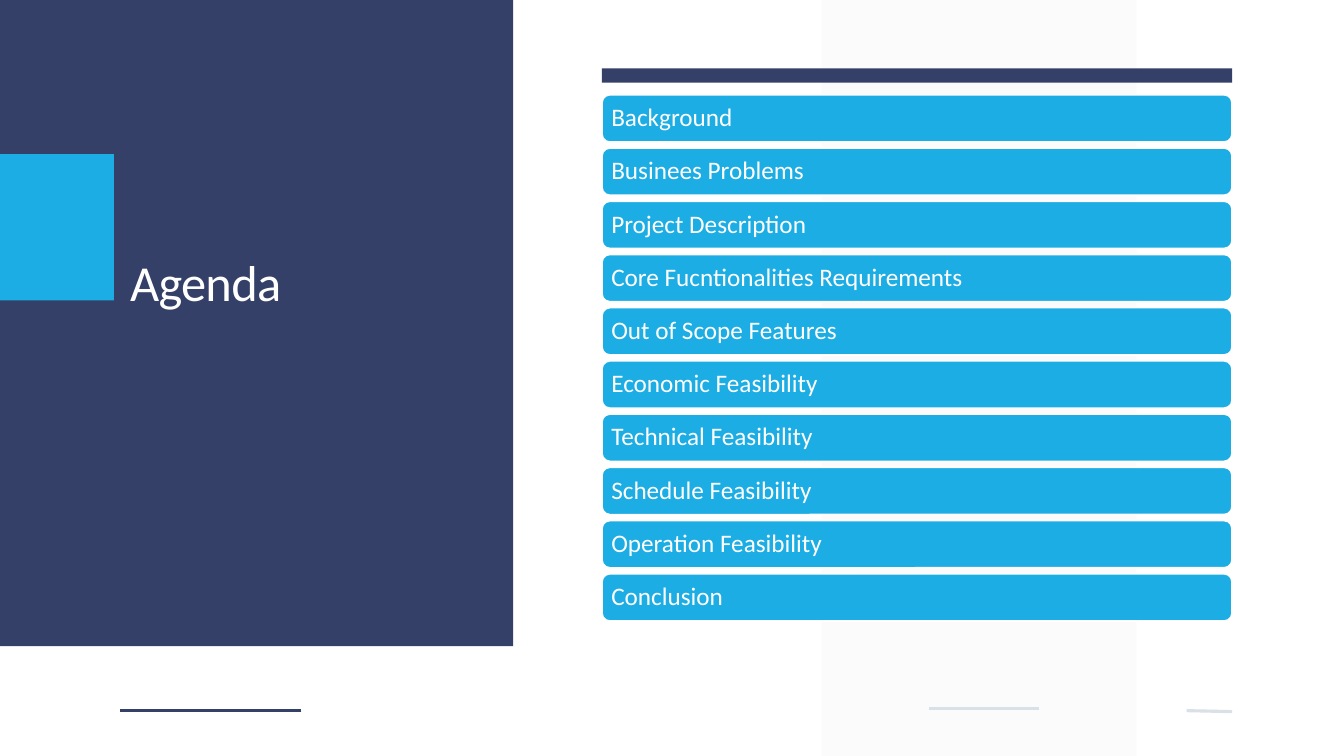
"""Build the agenda slide."""
from dataclasses import dataclass

from lxml.etree import SubElement
from pptx import Presentation
from pptx.dml.color import RGBColor
from pptx.enum.shapes import MSO_CONNECTOR, MSO_SHAPE
from pptx.enum.text import MSO_ANCHOR, PP_ALIGN
from pptx.oxml.ns import qn
from pptx.util import Inches, Pt

TITLE = "Agenda"
TOPICS = [
    "Background",
    "Businees Problems",
    "Project Description",
    "Core Fucntionalities Requirements",
    "Out of Scope Features",
    "Economic Feasibility",
    "Technical Feasibility",
    "Schedule Feasibility",
    "Operation Feasibility",
    "Conclusion",
]


@dataclass(frozen=True)
class Theme:
    navy: str = "344068"
    blue: str = "1CADE4"
    band: str = "F2F2F2"
    rule: str = "D9E0E6"
    white: str = "FFFFFF"
    font: str = "Calibri"
    title_size: int = 36
    topic_size: int = 18
    rule_width: float = 2.25
    border_width: float = 1.25


THEME = Theme()
LIST_LEFT, LIST_TOP, LIST_WIDTH = 5.97, 0.94, 6.25
TOPIC_HEIGHT, TOPIC_PITCH = 0.47, 0.528
TOPIC_INSET = 0.07

BLOCKS = [
    (MSO_SHAPE.RECTANGLE, (8.15, 0, 3.12, 7.5), THEME.band, 30),
    (MSO_SHAPE.RECTANGLE, (0, 0, 5.09, 6.41), THEME.navy, 100),
    (MSO_SHAPE.RECTANGLE, (0, 1.53, 1.13, 1.45), THEME.blue, 100),
    (MSO_SHAPE.RECTANGLE, (LIST_LEFT, 0.68, LIST_WIDTH, 0.14), THEME.navy, 100),
]
RULES = [
    ((2.99, 7.05), (1.19, 7.05), THEME.navy),
    ((10.3, 7.03), (9.21, 7.03), THEME.rule),
    ((12.22, 7.06), (11.77, 7.05), THEME.rule),
]


def rgb(color):
    """Turn a hex string into a colour."""
    return RGBColor.from_string(color)


def add_block(s, kind, box, color, opacity=100):
    """Add a filled shape without outline or shadow."""
    sp = s.shapes.add_shape(kind, *map(Inches, box))
    sp.shadow.inherit = False
    sp.fill.solid()
    sp.fill.fore_color.rgb = rgb(color)
    sp.line.fill.background()
    if opacity < 100:
        clr = sp.fill._xPr.find(qn("a:solidFill"))[0]
        SubElement(clr, qn("a:alpha")).set("val", str(opacity * 1000))
    return sp


def add_rule(s, start, end, color):
    """Add a plain footer line."""
    line = s.shapes.add_connector(MSO_CONNECTOR.STRAIGHT, *map(Inches, start + end))
    line.line.color.rgb = rgb(color)
    line.line.width = Pt(THEME.rule_width)
    SubElement(line._element.spPr, qn("a:effectLst"))


def write(tf, text, size, anchor):
    """Set one left-aligned line of white text and return its run."""
    tf.text = text
    tf.word_wrap = True
    tf.vertical_anchor = anchor
    p = tf.paragraphs[0]
    p.alignment = PP_ALIGN.LEFT
    p.line_spacing = 0.9
    r = p.runs[0]
    r.font.name = THEME.font
    r.font.size = Pt(size)
    r.font.color.rgb = rgb(THEME.white)
    return r


def add_title(s):
    """Place the title in front of the navy panel."""
    title = s.shapes.title
    title.left, title.top, title.width, title.height = map(
        Inches, (1.19, 0.86, 3.36, 2.29))
    r = write(title.text_frame, TITLE, THEME.title_size, MSO_ANCHOR.BOTTOM)
    r.font._element.set("spc", "-50")
    s.shapes._spTree.append(title._element)


def add_topic(s, index, topic):
    """Add one rounded agenda bar."""
    top = LIST_TOP + index * TOPIC_PITCH
    sp = add_block(s, MSO_SHAPE.ROUNDED_RECTANGLE,
                   (LIST_LEFT, top, LIST_WIDTH, TOPIC_HEIGHT), THEME.blue)
    sp.line.color.rgb = rgb(THEME.white)
    sp.line.width = Pt(THEME.border_width)
    tf = sp.text_frame
    tf.margin_left = tf.margin_right = Inches(TOPIC_INSET)
    tf.margin_top = tf.margin_bottom = Inches(TOPIC_INSET)
    write(tf, topic, THEME.topic_size, MSO_ANCHOR.MIDDLE)


def main():
    """Assemble and save the slide."""
    prs = Presentation()
    prs.slide_width, prs.slide_height = Inches(13.33), Inches(7.5)
    s = prs.slides.add_slide(prs.slide_layouts[5])
    for block in BLOCKS:
        add_block(s, *block)
    for rule in RULES:
        add_rule(s, *rule)
    add_title(s)
    for index, topic in enumerate(TOPICS):
        add_topic(s, index, topic)
    prs.save("out.pptx")


if __name__ == "__main__":
    main()
